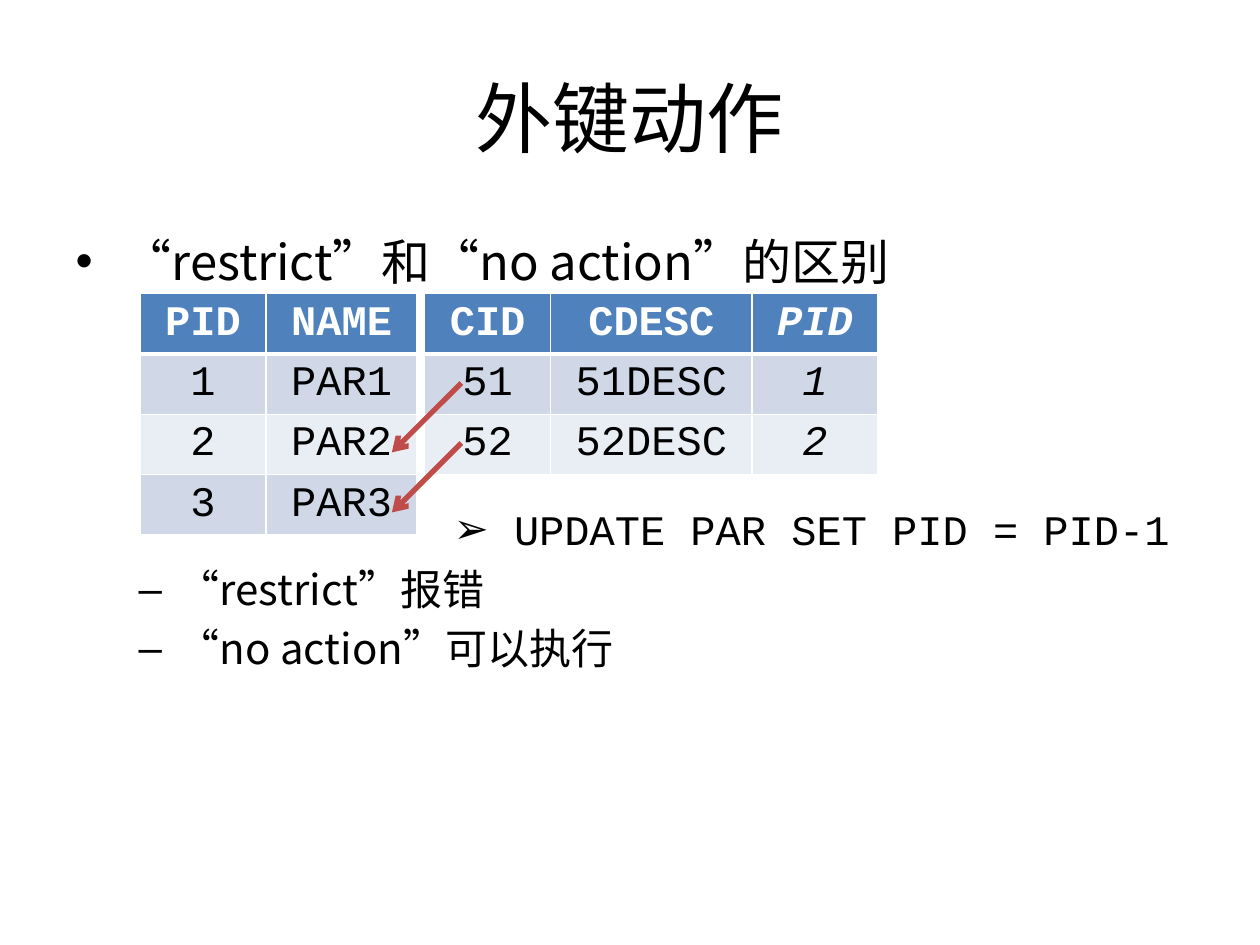
import pptx
import pptx.util
import pptx.dml.color
import pptx.enum.shapes
import pptx.enum.text
import pptx.oxml.ns
import lxml.etree

Cm = pptx.util.Cm
Pt = pptx.util.Pt
SANS = "Noto Sans CJK SC"
MONO = "Courier New"


def shade(hue):
    return pptx.dml.color.RGBColor.from_string(hue)


def node(root, tag, **attrs):
    item = lxml.etree.SubElement(root, pptx.oxml.ns.qn(tag))
    for key, val in attrs.items():
        item.set(key, str(val))
    return item


def write(para, text, size=24, face=SANS, hue="000000", bold=False,
          slant=False, align=None, before=0, line=None):
    para.alignment = align
    para.space_before = Pt(before)
    if line:
        para.line_spacing = Pt(line)
    run = para.add_run()
    run.text = text
    font = run.font
    font.size, font.name = Pt(size), face
    font.bold, font.italic = bold, slant
    font.color.rgb = shade(hue)
    props = run._r.get_or_add_rPr()
    props.set("lang", "zh-CN")
    node(props, "a:ea", typeface=face)


def place(shape, box):
    shape.left, shape.top, shape.width, shape.height = [Cm(n) for n in box]


def add_title(slide, box, text):
    shape = slide.shapes.title
    place(shape, box)
    frame = shape.text_frame
    frame.vertical_anchor = pptx.enum.text.MSO_ANCHOR.MIDDLE
    write(frame.paragraphs[0], text, size=44,
          align=pptx.enum.text.PP_ALIGN.CENTER)


def add_list(slide, box, items):
    shape = slide.placeholders[1]
    place(shape, box)
    frame = shape.text_frame
    frame.word_wrap = True
    for idx, (text, level, mark, left, hang, form) in enumerate(items):
        para = frame.add_paragraph() if idx else frame.paragraphs[0]
        para.level = level
        props = para._p.get_or_add_pPr()
        props.set("marL", str(Cm(left)))
        props.set("indent", str(-Cm(hang)))
        node(props, "a:buFont", typeface="Arial")
        node(props, "a:buChar", char=mark)
        write(para, text, **form)


def edge(cell, row):
    props = cell._tc.get_or_add_tcPr()
    widths = {"L": 1, "R": 1, "T": 3 if row == 1 else 1,
              "B": 3 if row == 0 else 1}
    for side, width in widths.items():
        line = node(props, "a:ln" + side, w=Pt(width))
        node(node(line, "a:solidFill"), "a:srgbClr", val="FFFFFF")


def add_grid(slide, left, top, widths, high, rows, slant=None):
    grid = slide.shapes.add_table(
        len(rows), len(widths), Cm(left), Cm(top),
        Cm(sum(widths)), Cm(high * len(rows))).table
    for col, width in enumerate(widths):
        grid.columns[col].width = Cm(width)
    for row, texts in enumerate(rows):
        grid.rows[row].height = Cm(high)
        head = row == 0
        fill = "4F81BD" if head else ("E9EDF4", "D0D8E8")[row % 2]
        for col, text in enumerate(texts):
            cell = grid.cell(row, col)
            edge(cell, row)
            cell.fill.solid()
            cell.fill.fore_color.rgb = shade(fill)
            write(cell.text_frame.paragraphs[0], text, face=MONO,
                  hue="FFFFFF" if head else "000000", bold=head,
                  slant=col == slant, align=pptx.enum.text.PP_ALIGN.CENTER)


def add_arrow(slide, left, top, width, height):
    link = slide.shapes.add_connector(
        pptx.enum.shapes.MSO_CONNECTOR.STRAIGHT,
        Cm(left + width), Cm(top), Cm(left), Cm(top + height))
    link.line.color.rgb = shade("BF4C48")
    link.line.width = Pt(3)
    node(link.line._get_or_add_ln(), "a:tailEnd", type="arrow")
    node(link._element.spPr, "a:effectLst")


def add_tables(slide, left, top):
    high = 1.21
    add_grid(slide, left, top, [2.54, 3.05], high, [
        ["PID", "NAME"], ["1", "PAR1"], ["2", "PAR2"], ["3", "PAR3"]])
    add_grid(slide, left + 5.74, top, [2.54, 4.06, 2.54], high, [
        ["CID", "CDESC", "PID"], ["51", "51DESC", "1"],
        ["52", "52DESC", "2"]], slant=2)
    for row in range(2):
        add_arrow(slide, left + 5.08, top + 1.8 + row * high, 1.4, 1.4)


def main():
    deck = pptx.Presentation()
    deck.slide_width, deck.slide_height = Cm(25.4), Cm(19.05)
    slide = deck.slides.add_slide(deck.slide_layouts[1])
    add_title(slide, (1.27, 0.76, 22.86, 3.18), "外键动作")
    sub = dict(line=29, before=5)
    add_list(slide, (1.27, 4.45, 22.86, 12.57), [
        ("“restrict”和“no action”的区别", 0, "•", 0.95, 0.95,
         dict(size=28, line=36)),
        (" UPDATE PAR SET PID = PID-1", 6, "➢", 8.26, 0.64,
         dict(face=MONO, line=29, before=122)),
        ("“restrict”报错", 1, "–", 2.06, 0.79, sub),
        ("“no action”可以执行", 1, "–", 2.06, 0.79, sub),
    ])
    add_tables(slide, 2.82, 5.92)
    deck.save("out.pptx")


if __name__ == "__main__":
    main()
